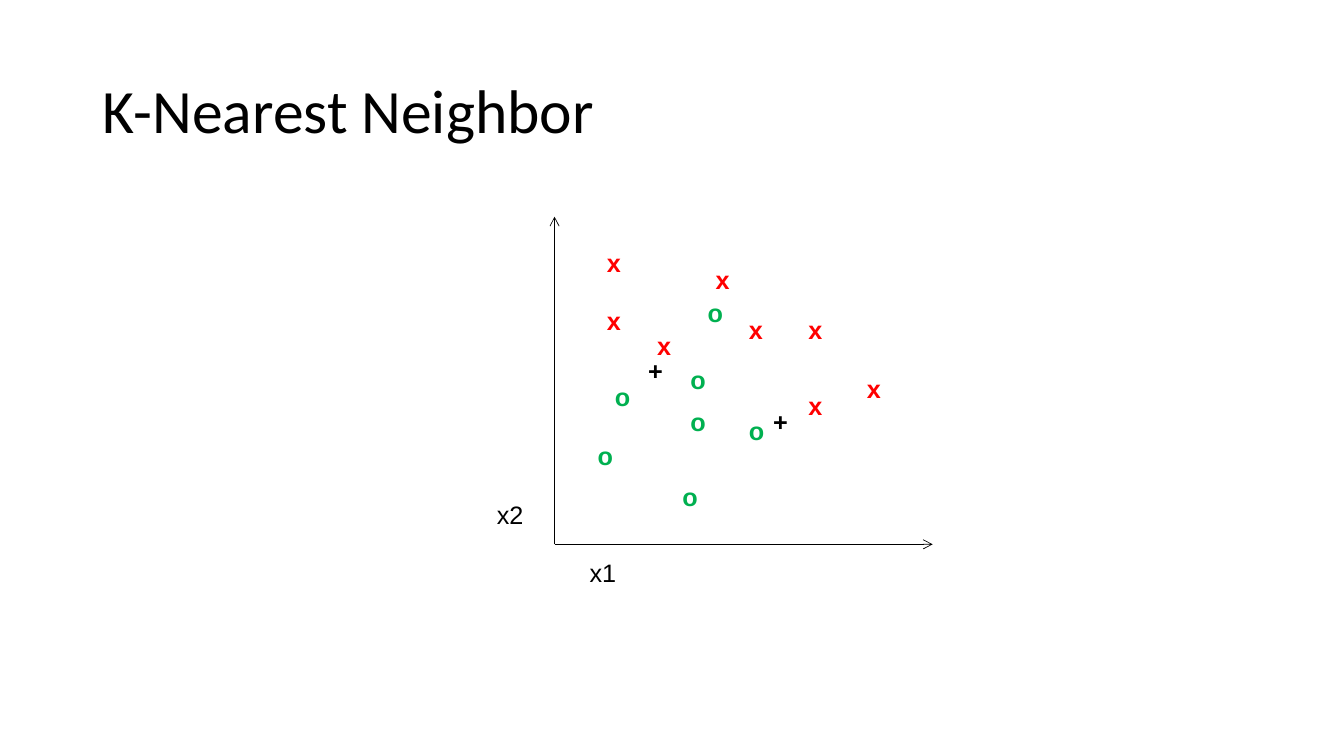
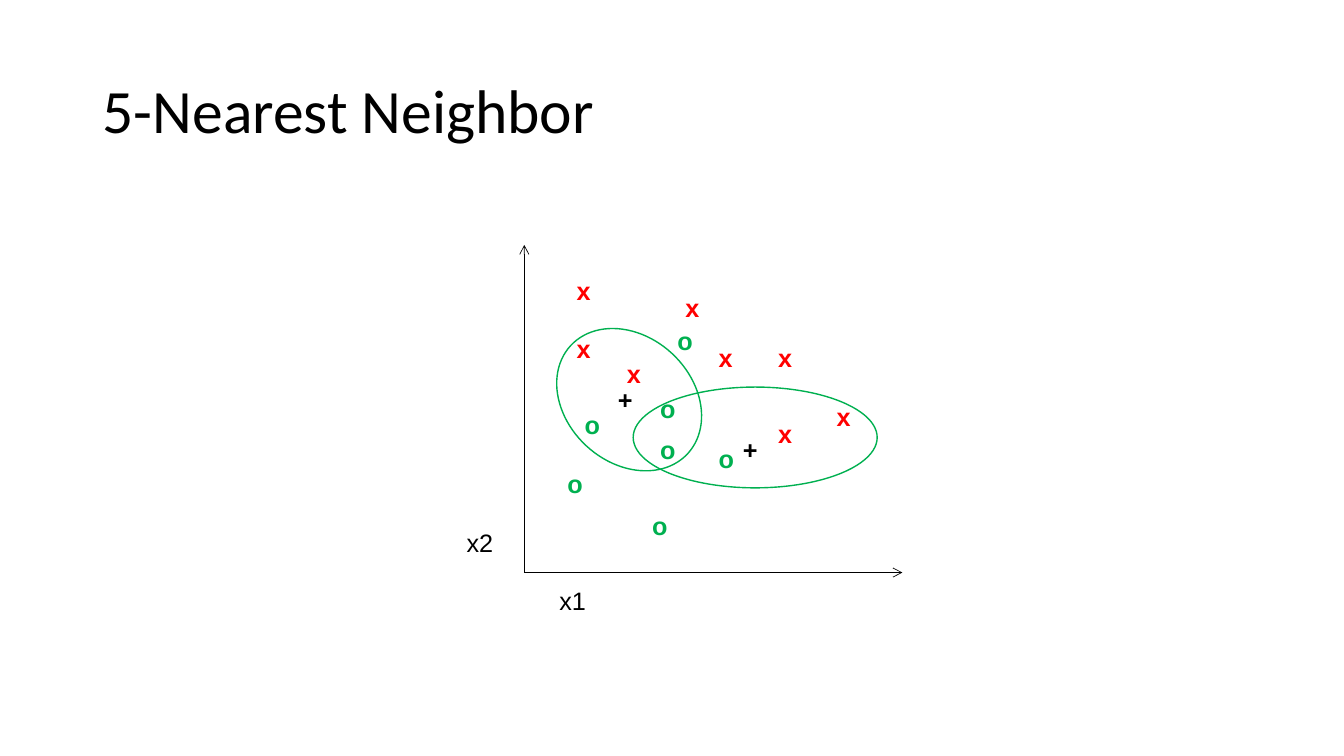
import pptx
import pptx.dml.color
import pptx.enum.shapes
import pptx.enum.text
import pptx.oxml.ns
import pptx.util
from lxml import etree
from pptx.util import Inches

BLACK = pptx.dml.color.RGBColor(0x00, 0x00, 0x00)
RED = pptx.dml.color.RGBColor(0xFF, 0x00, 0x00)
GREEN = pptx.dml.color.RGBColor(0x00, 0xB0, 0x50)

# Offsets in inches from the plot origin to each mark's top left corner.
CROSSES = [(1.83, -2.33), (2.42, -2.33), (2.42, -1.58), (3.0, -1.75),
           (0.42, -3.0), (0.42, -2.42), (1.5, -2.83), (0.92, -2.17)]
CIRCLES = [(1.42, -2.5), (1.83, -1.33), (0.33, -1.08), (0.5, -1.67),
           (1.17, -0.67), (1.25, -1.42), (1.25, -1.83)]
QUERIES = [(0.83, -1.92), (2.07, -1.42)]
AXIS_WIDTH, AXIS_HEIGHT = 3.75, 3.25
MARK_WIDTHS = {"x": 0.34, "o": 0.36, "+": 0.35, "x1": 0.47, "x2": 0.47}


class Deck:
    def __init__(self):
        self.deck = pptx.Presentation()
        self.deck.slide_width = Inches(13.33)
        self.deck.slide_height = Inches(7.5)
        self.page = None

    def add_page(self, title):
        self.page = self.deck.slides.add_slide(self.deck.slide_layouts[6])
        box = self.page.shapes.add_textbox(
            Inches(0.92), Inches(0.4), Inches(11.5), Inches(1.45))
        box.text_frame.word_wrap = True
        box.text_frame.vertical_anchor = pptx.enum.text.MSO_ANCHOR.MIDDLE
        box.text_frame.paragraphs[0].line_spacing = 0.9
        self.add_text(box, title, "Calibri", 44, BLACK)

    def add_text(self, box, text, font, size, color, bold=False):
        span = box.text_frame.paragraphs[0].add_run()
        span.text = text
        span.font.name = font
        span.font.size = pptx.util.Pt(size)
        span.font.bold = bold
        span.font.color.rgb = color

    def mark(self, shapes, text, left, top, color=BLACK, bold=True):
        box = shapes.add_textbox(Inches(left), Inches(top),
                                 Inches(MARK_WIDTHS[text]), Inches(0.4))
        box.text_frame.word_wrap = False
        box.text_frame.auto_size = pptx.enum.text.MSO_AUTO_SIZE.SHAPE_TO_FIT_TEXT
        self.add_text(box, text, "Arial", 18, color, bold)

    def arrow(self, shapes, x1, y1, x2, y2):
        axis = shapes.add_connector(
            pptx.enum.shapes.MSO_CONNECTOR.STRAIGHT,
            Inches(x1), Inches(y1), Inches(x2), Inches(y2))
        axis.line.color.rgb = BLACK
        axis.line.width = pptx.util.Pt(0.5)
        qn = pptx.oxml.ns.qn
        properties = axis.element.spPr
        etree.SubElement(properties.find(qn("a:ln")), qn("a:tailEnd"), type="arrow")
        etree.SubElement(properties, qn("a:effectLst"))

    def ellipse(self, left, top, width, height, rotation=0):
        shape = self.page.shapes.add_shape(
            pptx.enum.shapes.MSO_SHAPE.OVAL,
            Inches(left), Inches(top), Inches(width), Inches(height))
        shape.shadow.inherit = False
        shape.fill.background()
        shape.line.color.rgb = GREEN
        shape.line.width = pptx.util.Pt(1)
        shape.rotation = rotation

    def scatter(self, x, y):
        """Draw the grouped samples and axes from origin (x, y), then the queries."""
        group = self.page.shapes.add_group_shape().shapes
        for text, color, offsets in (("x", RED, CROSSES), ("o", GREEN, CIRCLES)):
            for dx, dy in offsets:
                self.mark(group, text, x + dx, y + dy, color)
        self.arrow(group, x, y, x, y - AXIS_HEIGHT)
        self.arrow(group, x, y, x + AXIS_WIDTH, y)
        self.mark(group, "x2", x - 0.67, y - 0.5, bold=False)
        self.mark(group, "x1", x + 0.25, y + 0.08, bold=False)
        for dx, dy in QUERIES:
            self.mark(self.page.shapes, "+", x + dx, y + dy)


def main():
    deck = Deck()
    deck.add_page("K-Nearest Neighbor")
    deck.scatter(5.5, 5.4)

    deck.add_page("5-Nearest Neighbor")
    deck.scatter(5.2, 5.68)
    deck.ellipse(5.45, 3.34, 1.58, 1.25, rotation=42.8)
    deck.ellipse(6.28, 3.84, 2.42, 1)

    deck.deck.save("out.pptx")


if __name__ == "__main__":
    main()
